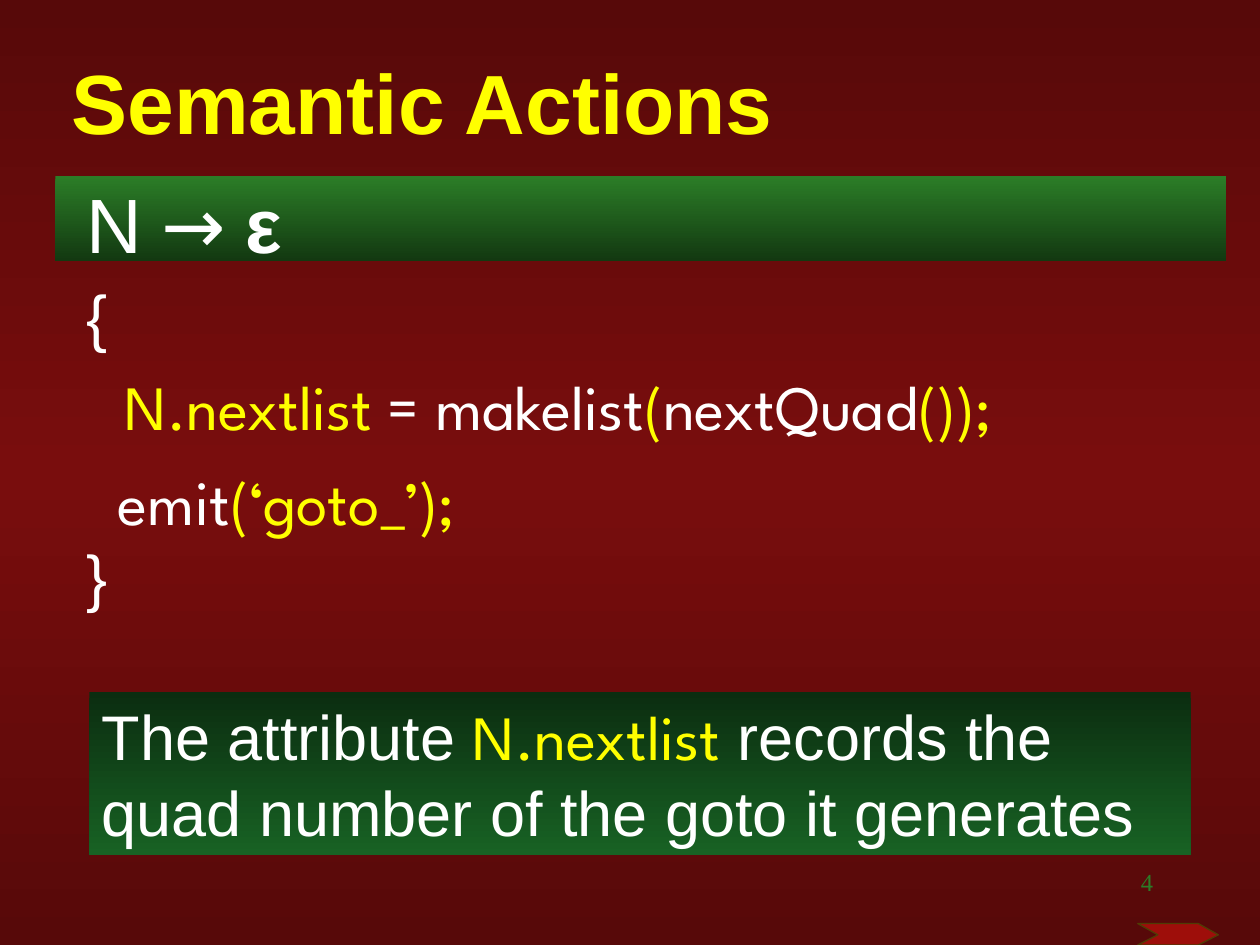
from copy import deepcopy
from dataclasses import dataclass

from pptx import Presentation
from pptx.dml.color import RGBColor as RGB
from pptx.enum.shapes import MSO_SHAPE as Preset
from pptx.enum.text import MSO_ANCHOR as Anchor, PP_ALIGN as Align
from pptx.oxml import parse_xml
from pptx.oxml.ns import nsdecls, qn
from pptx.util import Inches, Pt


@dataclass(frozen=True)
class Theme:
    sans: str = "Arial"
    code: str = "League Spartan"
    serif: str = "Times New Roman"
    white: str = "FFFFFF"
    yellow: str = "FFFF00"
    green: str = "2B7D27"
    arrow_fill: str = "9E0E0A"
    arrow_line: str = "503C04"
    backdrop: tuple = ("570909", "790D0D", "570909")
    rule_band: tuple = ("2B7D27", "133911")
    note_band: tuple = ("0B2D10", "186224")
    title_size: int = 48
    rule_size: int = 44
    body_size: int = 36
    number_size: int = 14


THEME = Theme()


def code(text, color=THEME.white, size=THEME.body_size):
    return text, THEME.code, color, size, False


def sans(text, size=THEME.body_size, color=THEME.white, bold=False):
    return text, THEME.sans, color, size, bold


def fill_gradient(fill, owner, colors):
    fill.gradient()
    fill.gradient_angle = 270
    stop_list = next(owner.iter(qn("a:gsLst")))
    while len(stop_list) < len(colors):
        stop_list.append(deepcopy(stop_list[-1]))
    for index, (stop, color) in enumerate(zip(fill.gradient_stops, colors)):
        stop.position = index / (len(colors) - 1)
        stop.color.rgb = RGB.from_string(color)


def write_runs(paragraph, pieces):
    for text, font, color, size, bold in pieces:
        run = paragraph.add_run()
        run.text = text
        run.font.name = font
        run.font.size = Pt(size)
        run.font.bold = bold
        run.font.color.rgb = RGB.from_string(color)


def add_text(slide, box, lines, align=Align.LEFT, anchor=Anchor.TOP):
    frame = slide.shapes.add_textbox(*map(Inches, box)).text_frame
    frame.word_wrap = True
    frame.vertical_anchor = anchor
    for index, (height, pieces) in enumerate(lines):
        paragraph = frame.add_paragraph() if index else frame.paragraphs[0]
        paragraph.alignment = align
        if height:
            paragraph.line_spacing = Pt(height)
        write_runs(paragraph, pieces)
    return frame


def add_band(slide, box, colors):
    band = slide.shapes.add_shape(Preset.RECTANGLE, *map(Inches, box))
    band.shadow.inherit = False
    band.line.fill.background()
    fill_gradient(band.fill, band.element, colors)
    return band


def add_title(slide, text):
    heading = sans(text, THEME.title_size, THEME.yellow, True)
    frame = add_text(slide, (0.47, 0.39, 9.2, 0.83), [(None, [heading])],
                     anchor=Anchor.MIDDLE)
    color_fill = next(frame.paragraphs[0].runs[0].font.fill
                      and frame.paragraphs[0]._p.iter(qn("a:solidFill")))
    color_fill.addnext(parse_xml(
        f'<a:effectLst {nsdecls("a")}><a:outerShdw dist="17961" dir="2700000">'
        '<a:srgbClr val="C0C0C0"/></a:outerShdw></a:effectLst>'))


def add_semantic_action(slide):
    yellow = THEME.yellow
    lines = [
        (60, [sans("N", THEME.rule_size),
              code(" → ", size=THEME.rule_size),
              sans("ε", THEME.rule_size, bold=True)]),
        (48.5, [sans("{")]),
        (52.5, [code("  ", size=THEME.rule_size), code("N.nextlist", yellow),
                code(" = makelist"), code("(", yellow),
                code("nextQuad"), code("());", yellow)]),
        (53, [code("  emit"), code("(‘goto_’);", yellow)]),
        (43, [sans("}")]),
    ]
    add_text(slide, (0.59, 1.25, 8.94, 4.54), lines)


def add_note(slide):
    note = add_band(slide, (0.71, 5.49, 8.74, 1.3), THEME.note_band)
    frame = note.text_frame
    frame.word_wrap = True
    frame.vertical_anchor = Anchor.TOP
    frame.paragraphs[0].alignment = Align.LEFT
    write_runs(frame.paragraphs[0], [
        sans("The attribute "),
        code("N.nextlist", THEME.yellow),
        sans(" records the quad number of the goto it generates"),
    ])


def add_next_arrow(slide):
    outline = [(9.51, 7.33), (9.67, 7.42), (9.51, 7.5), (9.03, 7.5), (9.19, 7.42)]
    builder = slide.shapes.build_freeform(Inches(9.03), Inches(7.33))
    builder.add_line_segments([(Inches(x), Inches(y)) for x, y in outline])
    arrow = builder.convert_to_shape()
    arrow.shadow.inherit = False
    arrow.fill.solid()
    arrow.fill.fore_color.rgb = RGB.from_string(THEME.arrow_fill)
    arrow.line.color.rgb = RGB.from_string(THEME.arrow_line)
    arrow.line.width = Pt(0.75)


def main():
    deck = Presentation()
    deck.slide_width, deck.slide_height = Inches(10), Inches(7.5)
    slide = deck.slides.add_slide(deck.slide_layouts[6])
    fill_gradient(slide.background.fill, slide.element, THEME.backdrop)
    add_band(slide, (0.44, 1.4, 9.29, 0.67), THEME.rule_band)
    add_title(slide, "Semantic Actions")
    add_semantic_action(slide)
    add_note(slide)
    add_next_arrow(slide)
    page_number = ("4", THEME.serif, THEME.green, THEME.number_size, False)
    add_text(slide, (7.17, 6.83, 2.08, 0.5), [(None, [page_number])], Align.RIGHT)
    deck.save("out.pptx")


if __name__ == "__main__":
    main()
